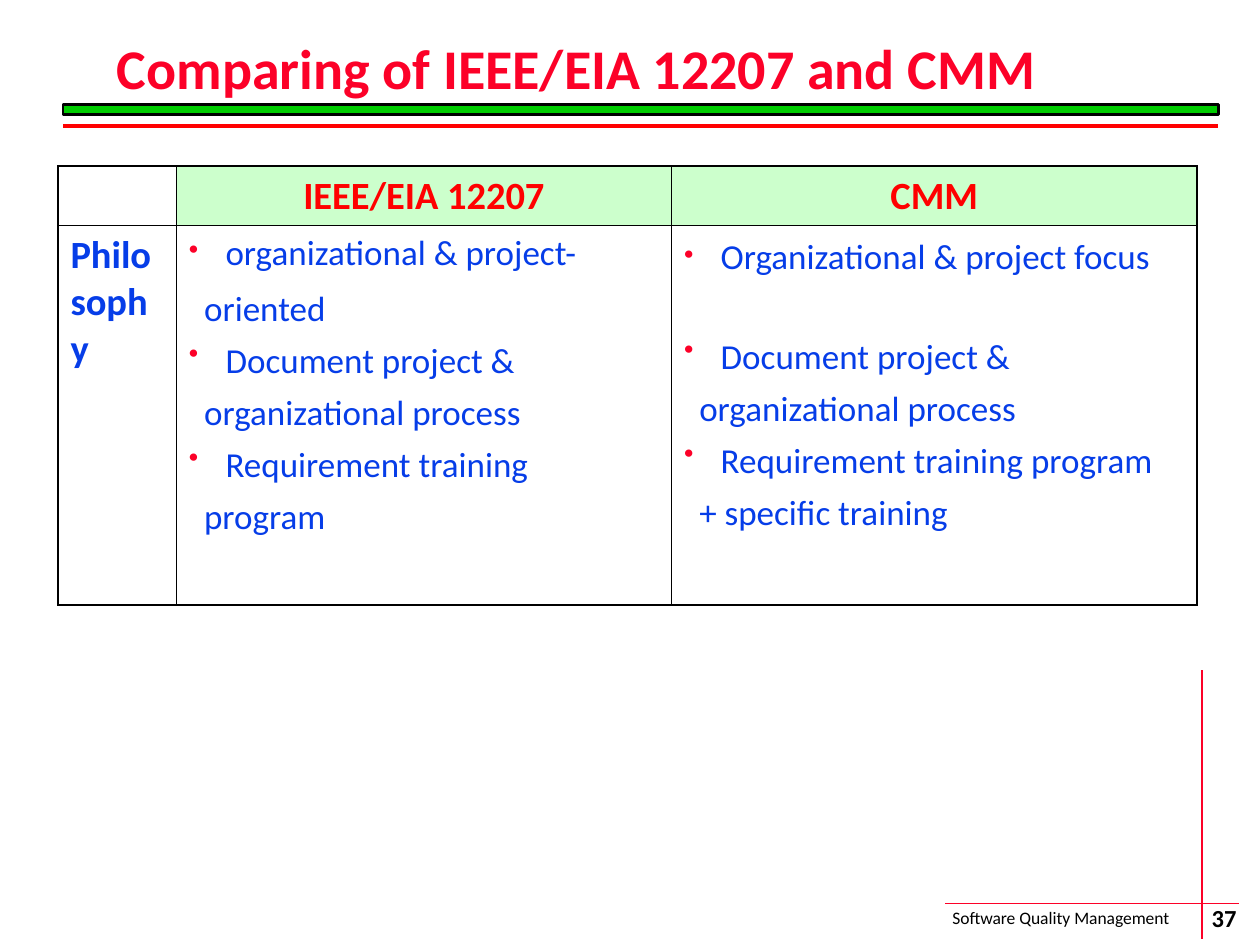
"""Build the slide comparing IEEE/EIA 12207 and CMM."""
from lxml import etree
from pptx import Presentation
from pptx.dml.color import RGBColor
from pptx.enum.shapes import MSO_CONNECTOR, MSO_SHAPE
from pptx.enum.text import MSO_ANCHOR, PP_ALIGN
from pptx.oxml.ns import qn
from pptx.util import Inches, Pt

STRAIGHT = MSO_CONNECTOR.STRAIGHT
RECTANGLE = MSO_SHAPE.RECTANGLE
LEFT, CENTER = PP_ALIGN.LEFT, PP_ALIGN.CENTER
TOP, MIDDLE = MSO_ANCHOR.TOP, MSO_ANCHOR.MIDDLE

FONT = "Calibri"
CRIMSON, RED, BLUE = "FC0128", "FF0000", "063DE8"
BLACK, GREEN, PALE_GREEN = "000000", "00CC00", "CCFFCC"

RULES = [
    ((7.5, 7.17), (9.83, 7.17), CRIMSON, 1),
    ((9.54, 5.32), (9.54, 7.45), CRIMSON, 1),
    ((0.5, 1), (9.67, 1), RED, 2.25),
]
TITLE_BAR = (0.5, 0.83, 9.17, 0.08)
TITLE = {"size": 32, "color": CRIMSON, "bold": True}
FOOTER = {"size": 10, "color": BLACK, "bold": False}
NUMBER = {"size": 14, "color": BLACK, "bold": True}
HEADER = {"size": 22, "color": RED, "bold": True}
ROW_LABEL = {"size": 22, "color": BLUE, "bold": True}
BODY = {"size": 20, "color": BLUE, "bold": False}

TEXTS = [
    ("Comparing of IEEE/EIA 12207 and CMM", (0.83, 0.33, 8.81, 0.48), TITLE,
     {"wrap": True, "anchor": MIDDLE, "align": LEFT, "insets": (0.1, 0.05), "spacing": 0.9}),
    ("Software Quality Management", (7.46, 7.15, 2.19, 0.27), FOOTER,
     {"wrap": False, "anchor": TOP, "align": LEFT, "insets": (0.1, 0.05), "spacing": 1.0}),
    ("37", (9.22, 7.14, 0.99, 0.28), NUMBER,
     {"wrap": False, "anchor": MIDDLE, "align": CENTER, "insets": (0, 0), "spacing": 1.0}),
]

TABLE_AT = (0.46, 1.32)
COLUMNS = [0.94, 3.93, 4.17]
ROWS = [0.47, 3.01]
HEADERS = ["IEEE/EIA 12207", "CMM"]
LABEL = "Philosophy"
PHILOSOPHY = [
    {"first_spacing": 1.0, "second_gap": 15, "points": [
        ("organizational & project-", "oriented"),
        ("Document project &", "organizational process"),
        ("Requirement training", "program"),
    ]},
    {"first_spacing": 1.1, "second_gap": 40, "points": [
        ("Organizational & project focus",),
        ("Document project &", "organizational process"),
        ("Requirement training program", "+ specific training"),
    ]},
]
LINE_SPACING, LINE_GAP = 0.6, 15
BULLET_INDENT, CONTINUATION_INDENT = 0.29, 0.12
OUTER_BORDER, INNER_BORDER = 1.08, 0.45


def rgb(color):
    return RGBColor.from_string(color)


def add_run(paragraph, text, style):
    run = paragraph.add_run()
    run.text = text
    values = {"name": FONT, "size": Pt(style["size"]), "bold": style["bold"]}
    for name, value in values.items():
        setattr(run.font, name, value)
    run.font.color.rgb = rgb(style["color"])


def add_text(slide, text, box, style, layout):
    frame = slide.shapes.add_textbox(*map(Inches, box)).text_frame
    across, down = map(Inches, layout["insets"])
    values = {"word_wrap": layout["wrap"], "vertical_anchor": layout["anchor"],
              "margin_left": across, "margin_right": across,
              "margin_top": down, "margin_bottom": down}
    for name, value in values.items():
        setattr(frame, name, value)
    paragraph = frame.paragraphs[0]
    paragraph.alignment = layout["align"]
    paragraph.line_spacing = layout["spacing"]
    add_run(paragraph, text, style)


def add_rule(slide, start, end, color, width):
    rule = slide.shapes.add_connector(STRAIGHT, *map(Inches, start + end))
    rule.line.color.rgb = rgb(color)
    rule.line.width = Pt(width)
    etree.SubElement(rule._element.spPr, qn("a:effectLst"))


def add_title_bar(slide):
    bar = slide.shapes.add_shape(RECTANGLE, *map(Inches, TITLE_BAR))
    bar.shadow.inherit = False
    bar.fill.solid()
    bar.fill.fore_color.rgb = rgb(GREEN)
    bar.line.color.rgb = rgb(BLACK)
    bar.line.width = Pt(1.5)


def set_indent(paragraph, margin, bulleted):
    properties = paragraph._p.get_or_add_pPr()
    properties.set("marL", str(Inches(margin)))
    properties.set("indent", str(-Inches(margin) if bulleted else 0))
    if bulleted:
        color = etree.SubElement(properties, qn("a:buClr"))
        etree.SubElement(color, qn("a:srgbClr"), val=CRIMSON)
        etree.SubElement(properties, qn("a:buSzPct"), val="80000")
        etree.SubElement(properties, qn("a:buChar"), char="•")


def set_borders(cell, row, column):
    outer_sides = {"L": column == 0, "R": column == len(COLUMNS) - 1,
                   "T": row == 0, "B": row == len(ROWS) - 1}
    properties = cell._tc.get_or_add_tcPr()
    for side, is_outer in outer_sides.items():
        width = Pt(OUTER_BORDER if is_outer else INNER_BORDER)
        line = etree.SubElement(properties, qn(f"a:ln{side}"), w=str(width))
        fill = etree.SubElement(line, qn("a:solidFill"))
        etree.SubElement(fill, qn("a:srgbClr"), val=BLACK)


def fill_points(cell, content):
    frame = cell.text_frame
    for point_index, lines in enumerate(content["points"]):
        for line_index, text in enumerate(lines):
            is_first = point_index == line_index == 0
            bulleted = line_index == 0
            paragraph = frame.paragraphs[0] if is_first else frame.add_paragraph()
            set_indent(paragraph, BULLET_INDENT if bulleted else CONTINUATION_INDENT, bulleted)
            paragraph.line_spacing = content["first_spacing"] if is_first else LINE_SPACING
            if not is_first:
                opens_second = point_index == 1 and bulleted
                paragraph.space_before = Pt(content["second_gap"] if opens_second else LINE_GAP)
            add_run(paragraph, text, BODY)


def add_comparison(slide):
    size = (sum(COLUMNS), sum(ROWS))
    table = slide.shapes.add_table(len(ROWS), len(COLUMNS), *map(Inches, TABLE_AT + size)).table
    table.first_row = table.horz_banding = False
    for column, width in zip(table.columns, COLUMNS):
        column.width = Inches(width)
    for row, height in zip(table.rows, ROWS):
        row.height = Inches(height)
    for row in range(len(ROWS)):
        for column in range(len(COLUMNS)):
            cell = table.cell(row, column)
            set_borders(cell, row, column)
            cell.fill.background()
    add_run(table.cell(1, 0).text_frame.paragraphs[0], LABEL, ROW_LABEL)
    for column, (header, content) in enumerate(zip(HEADERS, PHILOSOPHY), start=1):
        cell = table.cell(0, column)
        cell.fill.solid()
        cell.fill.fore_color.rgb = rgb(PALE_GREEN)
        paragraph = cell.text_frame.paragraphs[0]
        paragraph.alignment = CENTER
        add_run(paragraph, header, HEADER)
        fill_points(table.cell(1, column), content)


def main():
    presentation = Presentation()
    presentation.slide_width, presentation.slide_height = Inches(10), Inches(7.5)
    slide = presentation.slides.add_slide(presentation.slide_layouts[6])
    add_title_bar(slide)
    for rule in RULES:
        add_rule(slide, *rule)
    for text in TEXTS:
        add_text(slide, *text)
    add_comparison(slide)
    presentation.save("out.pptx")


if __name__ == "__main__":
    main()
